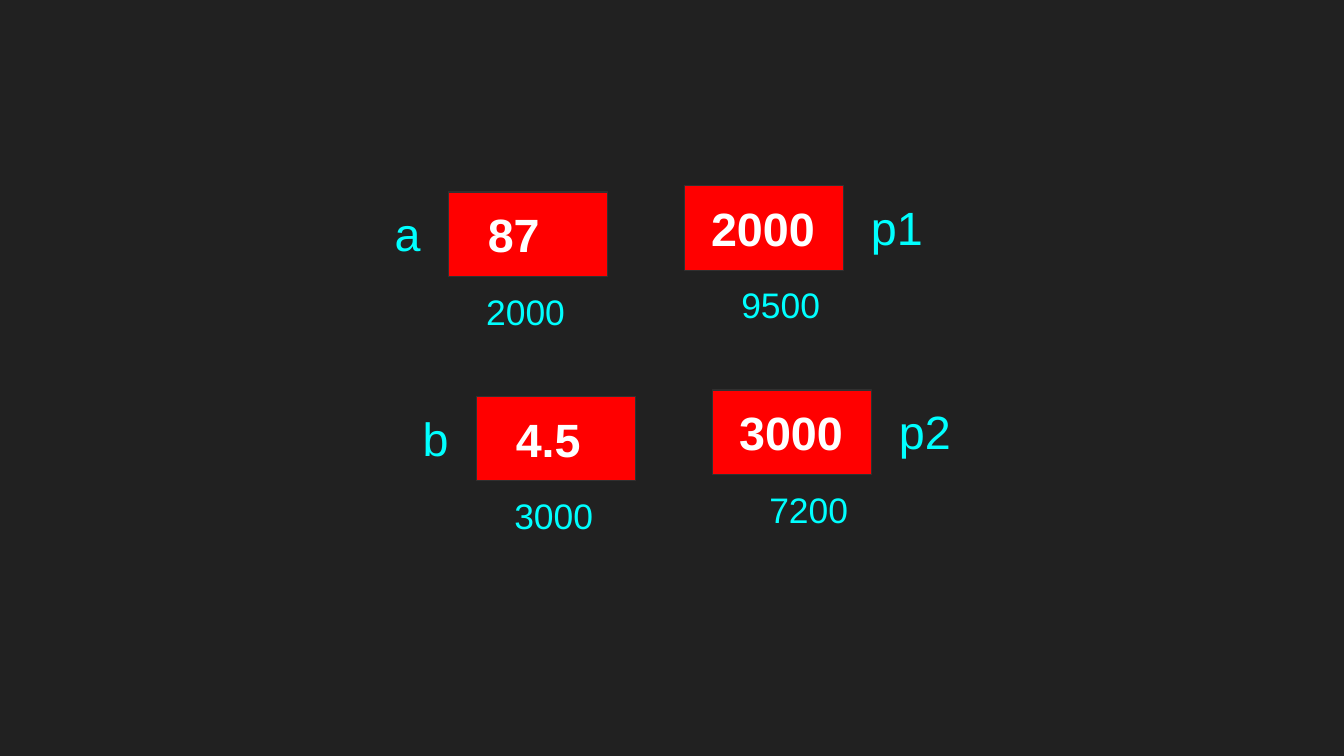
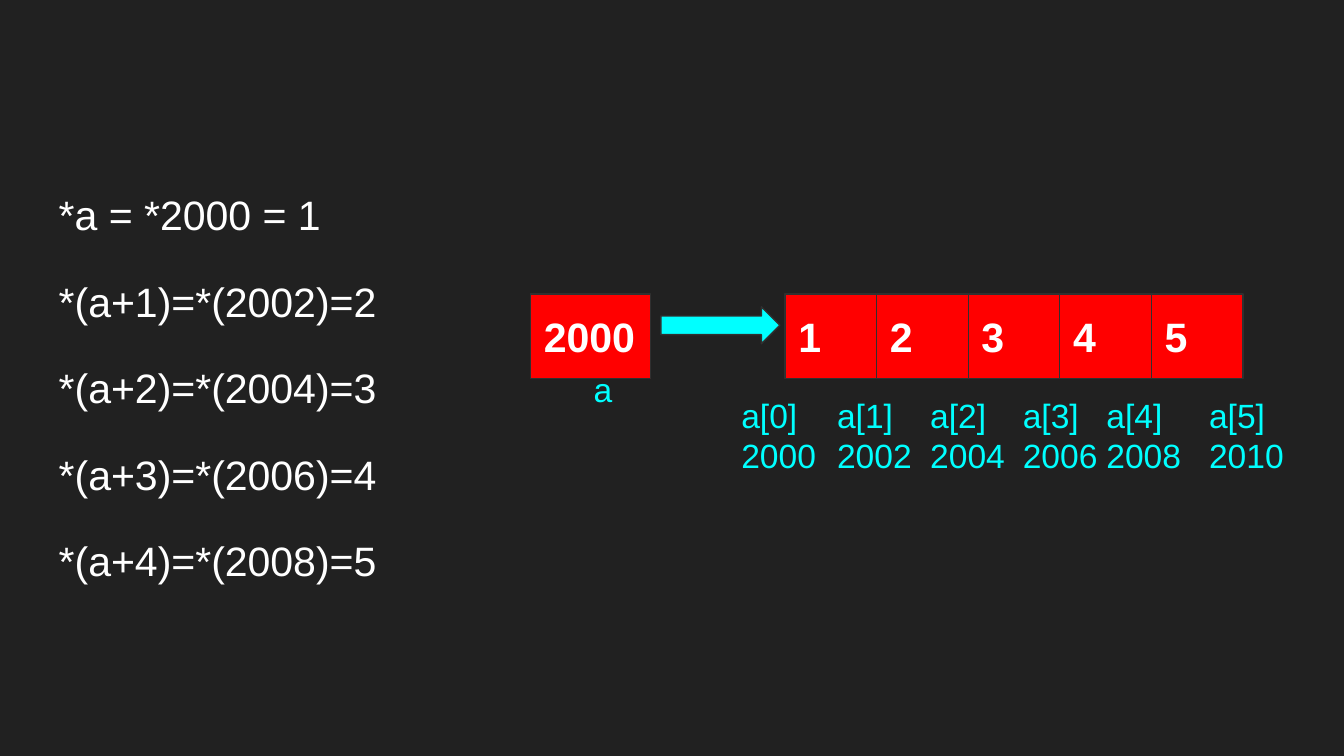
"""Build two slides on pointers: variables with their addresses, and array access."""
from lxml.etree import SubElement
from pptx import Presentation
from pptx.dml.color import RGBColor
from pptx.enum.shapes import MSO_SHAPE
from pptx.enum.text import MSO_ANCHOR, MSO_AUTO_SIZE, PP_ALIGN
from pptx.oxml.ns import qn
from pptx.util import Cm, Pt

BACKGROUND, RED, CYAN, WHITE, OUTLINE = "212121", "FF0000", "00FFFF", "FFFFFF", "303030"
FONT = "Arial"
INSET = 0.25
CELL_HEIGHT = 1.6
LABEL_HEIGHT = 0.85


def paint(target, colour):
    """Give a fill a solid colour."""
    target.solid()
    target.fore_color.rgb = RGBColor.from_string(colour)


def add_block(group, kind, left, top, width, height, lines=(), size=18, indent=0):
    """Add a bare label when kind is None, else an outlined shape with bold text."""
    place = Cm(left), Cm(top), Cm(width), Cm(height)
    if kind is None:
        box = group.shapes.add_textbox(*place)
    else:
        box = group.shapes.add_shape(kind, *place)
        box.shadow.inherit = False
        paint(box.fill, CYAN if kind == MSO_SHAPE.RIGHT_ARROW else RED)
        paint(box.line.fill, OUTLINE)
        box.line.width = Pt(0.75)
    frame = box.text_frame
    frame.word_wrap = True
    frame.vertical_anchor = MSO_ANCHOR.TOP if kind is None else MSO_ANCHOR.MIDDLE
    frame.margin_left = Cm(INSET + indent)
    frame.margin_right = frame.margin_top = frame.margin_bottom = Cm(INSET)
    frame.text = "\n".join(lines)
    for para in frame.paragraphs:
        para.alignment = PP_ALIGN.LEFT
        para.font.name = FONT
        para.font.size = Pt(size)
        para.font.bold = kind is not None
        paint(para.font.fill, CYAN if kind is None else WHITE)


deck = Presentation()
deck.slide_width, deck.slide_height = Cm(25.4), Cm(14.29)
paint(deck.slide_master.background.fill, BACKGROUND)

page = deck.slides.add_slide(deck.slide_layouts[6])
variables = [
    ("a", "87", "2000", "p1", "9500"),
    ("b", "4.5", "3000", "p2", "7200"),
]
for row, (name, value, address, pointer, pointer_address) in enumerate(variables):
    group = page.shapes.add_group_shape()
    left, top = 7.21 + 0.53 * row, 3.63 + 3.86 * row
    pointer_top = top - 0.12
    add_block(group, MSO_SHAPE.RECTANGLE, left + 1.27, top, 3, CELL_HEIGHT, [value], 25, 0.49)
    add_block(group, MSO_SHAPE.RECTANGLE, left + 5.73, pointer_top, 3, CELL_HEIGHT, [address], 25, 0.25)
    add_block(group, None, left + 1.73, top + CELL_HEIGHT, 2.13, LABEL_HEIGHT, [address], 19)
    add_block(group, None, left + 6.18, pointer_top + CELL_HEIGHT, 2.57, LABEL_HEIGHT, [pointer_address], 19, 0.37)
    add_block(group, None, left + 9, pointer_top, 1.88, LABEL_HEIGHT, [pointer], 25)
    add_block(group, None, left, top, 1.27, LABEL_HEIGHT, [name], 25)

page = deck.slides.add_slide(deck.slide_layouts[1])
title = page.shapes.title
title.element.getparent().remove(title.element)
body = page.placeholders[1]
body.left, body.top, body.width, body.height = Cm(0.86), Cm(3.2), Cm(6.91), Cm(9.5)
frame = body.text_frame
frame.auto_size = MSO_AUTO_SIZE.NONE
frame.word_wrap = True
frame.vertical_anchor = MSO_ANCHOR.TOP
frame.margin_left = frame.margin_right = frame.margin_top = frame.margin_bottom = Cm(INSET)
equations = ["*a = *2000 = 1"] + [f"*(a+{i})=*({2000 + 2 * i})={i + 1}" for i in range(1, 5)]
frame.text = "\n".join(equations)
for number, para in enumerate(frame.paragraphs):
    para.line_spacing = 1.15
    para.space_before = Pt(16 if number else 0)
    para.space_after = Pt(0)
    para.font.name = FONT
    para.font.size = Pt(22)
    paint(para.font.fill, WHITE)
    properties = para._p.get_or_add_pPr()
    properties.set("marL", "0")
    properties.set("indent", "0")
    bullet = SubElement(properties, qn("a:buNone"))
    properties.find(qn("a:defRPr")).addprevious(bullet)

group = page.shapes.add_group_shape()
cell_top, cell_width = 5.56, 1.73
for index in range(5):
    add_block(group, MSO_SHAPE.RECTANGLE, 14.84 + cell_width * index, cell_top,
              cell_width, CELL_HEIGHT, [str(index + 1)], 22)
for index, left in enumerate([13.76, 15.57, 17.33, 19.08, 20.66, 22.6]):
    add_block(group, None, left, 7.21, 2.13, LABEL_HEIGHT, [f"a[{index}]", str(2000 + 2 * index)])
add_block(group, MSO_SHAPE.RECTANGLE, 10.03, cell_top, 2.27, CELL_HEIGHT, ["2000"], 22)
add_block(group, MSO_SHAPE.RIGHT_ARROW, 12.49, 5.8, 2.25, 0.7)
add_block(group, None, 10.44, 6.73, 2.13, LABEL_HEIGHT, ["a"], 18, 0.53)

deck.save("out.pptx")
